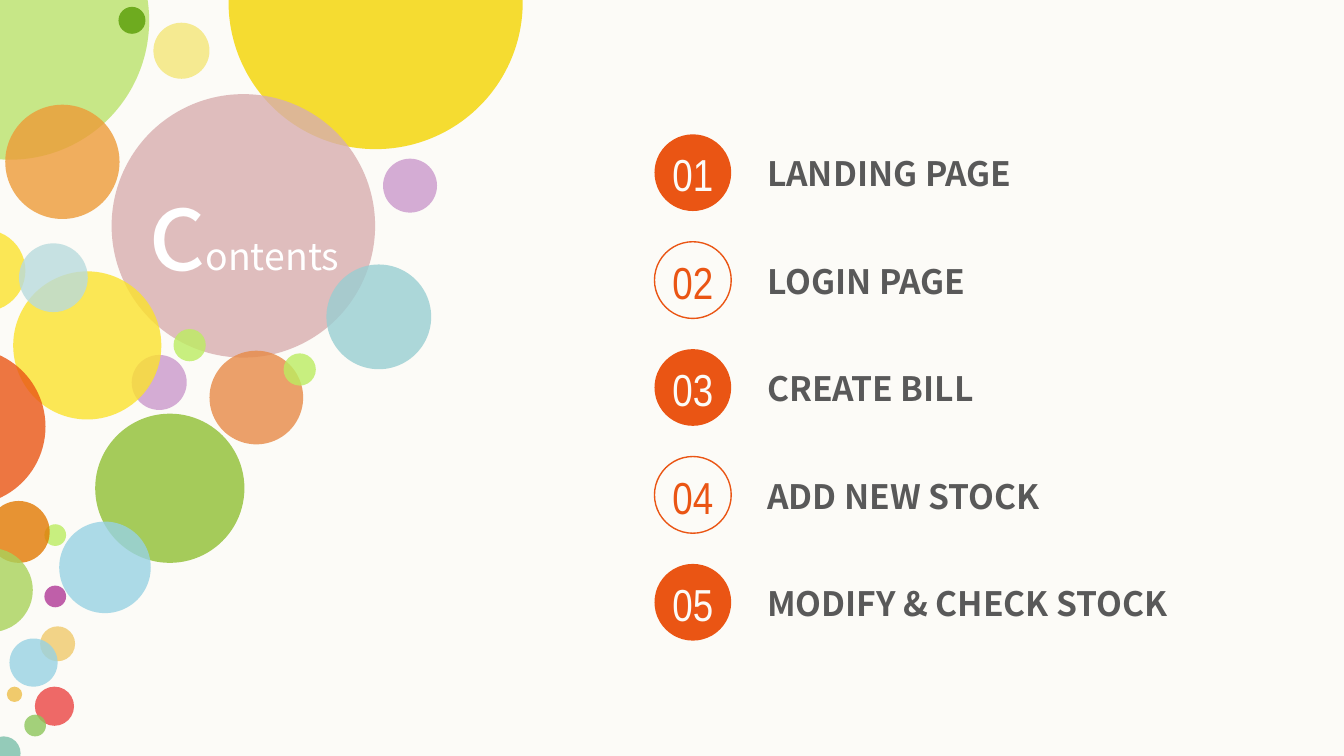
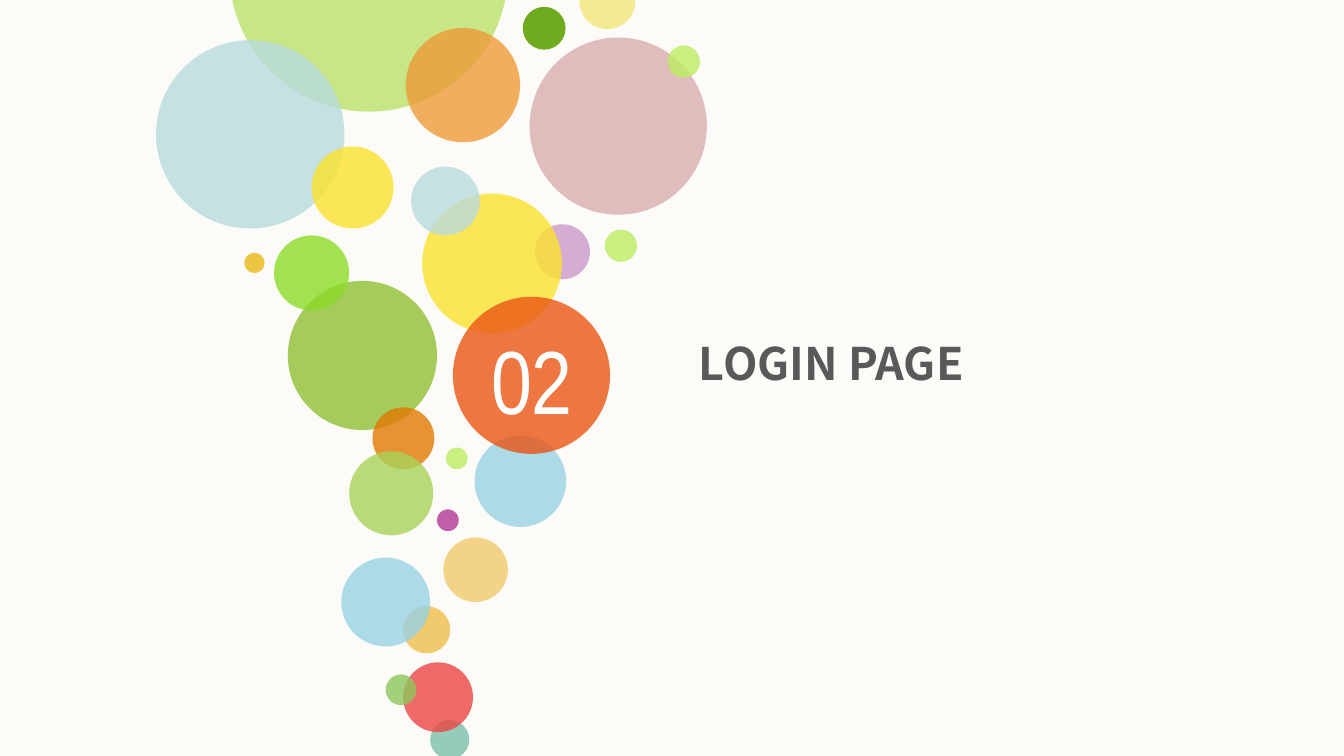
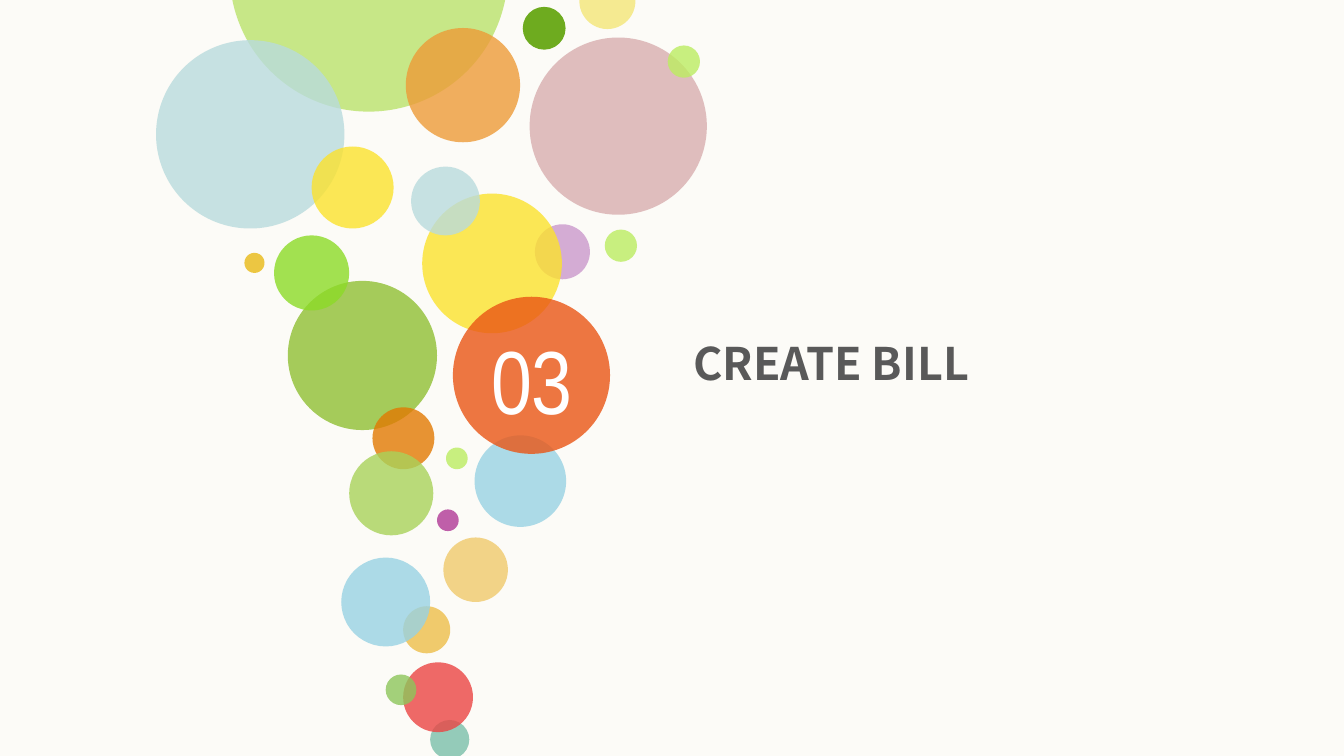
from dataclasses import dataclass

from lxml.etree import SubElement
from pptx import Presentation
from pptx.dml.color import RGBColor
from pptx.enum.shapes import MSO_SHAPE
from pptx.enum.text import MSO_AUTO_SIZE, PP_ALIGN
from pptx.oxml.ns import qn
from pptx.shapes.autoshape import Shape
from pptx.slide import Slide
from pptx.util import Cm, Pt

PAPER = RGBColor(0xFC, 0xFB, 0xF7)
WHITE = RGBColor(0xFF, 0xFF, 0xFF)
GREY = RGBColor(0x59, 0x59, 0x59)
ORANGE = RGBColor(0xEA, 0x55, 0x14)
AMBER = RGBColor(0xE2, 0x79, 0x02)
APRICOT = RGBColor(0xED, 0x9B, 0x38)
COPPER = RGBColor(0xE7, 0x8A, 0x47)
HONEY = RGBColor(0xF0, 0xCA, 0x6C)
GOLD = RGBColor(0xE9, 0xB9, 0x15)
SUN = RGBColor(0xF4, 0xD5, 0x00)
YELLOW = RGBColor(0xFB, 0xE2, 0x2D)
CREAM = RGBColor(0xF5, 0xEA, 0x91)
LIME = RGBColor(0xBA, 0xE3, 0x6B)
PALE_LIME = RGBColor(0xBC, 0xED, 0x61)
BRIGHT_GREEN = RGBColor(0x8C, 0xDB, 0x27)
LEAF = RGBColor(0x6E, 0xAB, 0x1F)
OLIVE = RGBColor(0xA5, 0xCB, 0x5A)
MEADOW = RGBColor(0xA9, 0xD2, 0x5A)
GRASS = RGBColor(0x8D, 0xC6, 0x5B)
SEA = RGBColor(0x7B, 0xBF, 0xAA)
TEAL = RGBColor(0x99, 0xCE, 0xD2)
MIST = RGBColor(0xB9, 0xDB, 0xDD)
SKY = RGBColor(0x98, 0xD2, 0xE3)
LILAC = RGBColor(0xCB, 0x99, 0xCC)
PLUM = RGBColor(0xB0, 0x38, 0x96)
ROSE = RGBColor(0xD8, 0xAE, 0xAF)
RED = RGBColor(0xEB, 0x45, 0x44)

TITLE_FONT = "Noto Sans CJK SC"
NUMBER_FONT = "Arial Narrow"

BADGE_SIZE = 1.45
MENU_LEFT = 12.37
MENU_TOP = 2.54
MENU_PITCH = 2.03
LABEL_LEFT = 14.5


@dataclass(frozen=True)
class Bubble:
    color: RGBColor
    left: float
    top: float
    size: float
    opacity: int = 80


@dataclass(frozen=True)
class TextStyle:
    font: str
    size: int
    color: RGBColor
    bold: bool = False
    align: PP_ALIGN = PP_ALIGN.CENTER


@dataclass(frozen=True)
class MenuItem:
    label: str
    width: float = 7.01


CONTENTS_BUBBLES = [
    Bubble(LIME, -2.44, -2.24, 5.26),
    Bubble(LEAF, 2.24, 0.13, 0.51, 100),
    Bubble(APRICOT, 0.1, 1.98, 2.16),
    Bubble(CREAM, 2.9, 0.43, 1.06, 100),
    Bubble(SUN, 4.32, -2.74, 5.56),
    Bubble(ROSE, 2.11, 1.78, 4.98),
    Bubble(TEAL, 6.17, 5, 1.98),
    Bubble(LILAC, 7.24, 3, 1.02),
    Bubble(COPPER, 3.96, 6.63, 1.77),
    Bubble(OLIVE, 1.8, 7.82, 2.82, 100),
    Bubble(PALE_LIME, 5.36, 6.68, 0.61),
    Bubble(PALE_LIME, 3.28, 6.22, 0.61),
    Bubble(LILAC, 2.49, 6.71, 1.04),
    Bubble(YELLOW, 0.25, 5.13, 2.8),
    Bubble(YELLOW, -1.07, 4.34, 1.55),
    Bubble(PALE_LIME, 0.84, 9.91, 0.41),
    Bubble(PLUM, 0.84, 11.07, 0.41),
    Bubble(HONEY, 0.76, 11.84, 0.66),
    Bubble(HONEY, 0.13, 12.98, 0.29, 100),
    Bubble(SEA, -0.25, 13.92, 0.64),
    Bubble(RED, 0.66, 12.98, 0.74),
    Bubble(GRASS, 0.46, 13.51, 0.41),
    Bubble(SKY, 0.18, 12.07, 0.91),
    Bubble(MIST, 0.36, 4.6, 1.3),
    Bubble(SKY, 1.12, 9.86, 1.73),
    Bubble(AMBER, -0.23, 9.47, 1.17),
    Bubble(MEADOW, -0.97, 10.36, 1.59),
    Bubble(ORANGE, -2.11, 6.58, 2.97),
]

SECTION_BUBBLES = [
    Bubble(LIME, 4.34, -3.15, 5.26),
    Bubble(LEAF, 9.88, 0.13, 0.81, 100),
    Bubble(MIST, 2.95, 0.76, 3.56),
    Bubble(APRICOT, 7.67, 0.53, 2.16),
    Bubble(CREAM, 10.95, -0.51, 1.06, 100),
    Bubble(ROSE, 10.01, 0.71, 3.35),
    Bubble(OLIVE, 5.44, 5.31, 2.82, 100),
    Bubble(PALE_LIME, 12.62, 0.86, 0.61),
    Bubble(PALE_LIME, 11.43, 4.34, 0.61),
    Bubble(LILAC, 10.11, 4.24, 1.04),
    Bubble(YELLOW, 7.98, 3.66, 2.64),
    Bubble(YELLOW, 5.89, 2.77, 1.55),
    Bubble(BRIGHT_GREEN, 5.18, 4.45, 1.42),
    Bubble(GOLD, 4.62, 4.78, 0.38),
    Bubble(PALE_LIME, 8.43, 8.46, 0.41),
    Bubble(PLUM, 8.26, 9.63, 0.41),
    Bubble(HONEY, 8.38, 10.16, 1.22),
    Bubble(HONEY, 7.62, 11.46, 0.89, 100),
    Bubble(SEA, 8.13, 13.61, 0.74),
    Bubble(RED, 7.62, 12.52, 1.32),
    Bubble(GRASS, 7.29, 12.75, 0.58),
    Bubble(SKY, 6.45, 10.54, 1.68),
    Bubble(MIST, 7.77, 3.15, 1.3),
    Bubble(SKY, 8.97, 8.23, 1.73),
    Bubble(AMBER, 7.04, 7.7, 1.17),
    Bubble(MEADOW, 6.6, 8.53, 1.59),
    Bubble(ORANGE, 8.56, 5.61, 2.97),
]

MENU = [
    MenuItem("LANDING PAGE"),
    MenuItem("LOGIN PAGE"),
    MenuItem("CREATE BILL"),
    MenuItem("ADD NEW STOCK"),
    MenuItem("MODIFY & CHECK STOCK", 8.76),
]

CONTENTS_STYLE = TextStyle(TITLE_FONT, 20, WHITE)
FILLED_BADGE_STYLE = TextStyle(NUMBER_FONT, 24, PAPER)
OUTLINED_BADGE_STYLE = TextStyle(NUMBER_FONT, 24, ORANGE)
LABEL_STYLE = TextStyle(TITLE_FONT, 18, GREY, True, PP_ALIGN.LEFT)
SECTION_NUMBER_STYLE = TextStyle(NUMBER_FONT, 48, WHITE)
SECTION_TITLE_STYLE = TextStyle(TITLE_FONT, 24, GREY, True)


def add_circle(page: Slide, left: float, top: float, size: float) -> Shape:
    circle = page.shapes.add_shape(
        MSO_SHAPE.OVAL, Cm(left), Cm(top), Cm(size), Cm(size)
    )
    circle.shadow.inherit = False
    return circle


def add_bubble(page: Slide, bubble: Bubble) -> None:
    circle = add_circle(page, bubble.left, bubble.top, bubble.size)
    circle.fill.solid()
    circle.fill.fore_color.rgb = bubble.color
    circle.line.fill.background()
    if bubble.opacity < 100:
        color = circle.fill._xPr.find(qn("a:solidFill"))[0]
        SubElement(color, qn("a:alpha"), val=str(bubble.opacity * 1000))


def add_text(page: Slide, text: str, style: TextStyle, left: float, top: float,
             width: float, height: float, grow: bool = True) -> Shape:
    box = page.shapes.add_textbox(Cm(left), Cm(top), Cm(width), Cm(height))
    frame = box.text_frame
    frame.margin_left = frame.margin_right = Cm(0)
    frame.margin_top = frame.margin_bottom = Cm(0)
    frame.word_wrap = True
    frame.auto_size = MSO_AUTO_SIZE.SHAPE_TO_FIT_TEXT if grow else MSO_AUTO_SIZE.NONE
    para = frame.paragraphs[0]
    para.add_run().text = text
    para.alignment = style.align
    para.font.name = style.font
    para.font.size = Pt(style.size)
    para.font.bold = style.bold
    para.font.color.rgb = style.color
    return box


def add_menu_item(page: Slide, index: int, item: MenuItem) -> None:
    top = MENU_TOP + index * MENU_PITCH
    if index % 2 == 0:
        add_bubble(page, Bubble(ORANGE, MENU_LEFT, top, BADGE_SIZE, 100))
        style = FILLED_BADGE_STYLE
    else:
        ring = add_circle(page, MENU_LEFT, top, BADGE_SIZE)
        ring.fill.background()
        ring.line.color.rgb = ORANGE
        ring.line.width = Pt(0.75)
        style = OUTLINED_BADGE_STYLE
    add_text(page, f"{index + 1:02}", style, MENU_LEFT, top + 0.24, BADGE_SIZE, 1.02)
    add_text(page, item.label, LABEL_STYLE, LABEL_LEFT, top + 0.36, item.width, 0.76)


def add_page(deck: Presentation, bubbles: list[Bubble]) -> Slide:
    page = deck.slides.add_slide(deck.slide_layouts[6])
    for bubble in bubbles:
        add_bubble(page, bubble)
    return page


def add_contents(deck: Presentation) -> None:
    page = add_page(deck, CONTENTS_BUBBLES)
    box = add_text(page, "c", CONTENTS_STYLE, 2.69, 3, 3.84, 2.57)
    para = box.text_frame.paragraphs[0]
    para.runs[0].font.size = Pt(60)
    para.add_run().text = "ontents"
    for index, item in enumerate(MENU):
        add_menu_item(page, index, item)


def add_section(deck: Presentation, number: int) -> None:
    page = add_page(deck, SECTION_BUBBLES)
    add_text(page, f"{number:02}", SECTION_NUMBER_STYLE, 9.04, 6.15, 2.03, 2.06)
    add_text(page, MENU[number - 1].label, SECTION_TITLE_STYLE,
             12.32, 6.35, 6.78, 2.18, grow=False)


def main() -> None:
    deck = Presentation()
    deck.slide_width = Cm(25.4)
    deck.slide_height = Cm(14.29)
    backdrop = deck.slide_master.background.fill
    backdrop.solid()
    backdrop.fore_color.rgb = PAPER
    add_contents(deck)
    for number in (2, 3):
        add_section(deck, number)
    deck.save("out.pptx")


if __name__ == "__main__":
    main()
